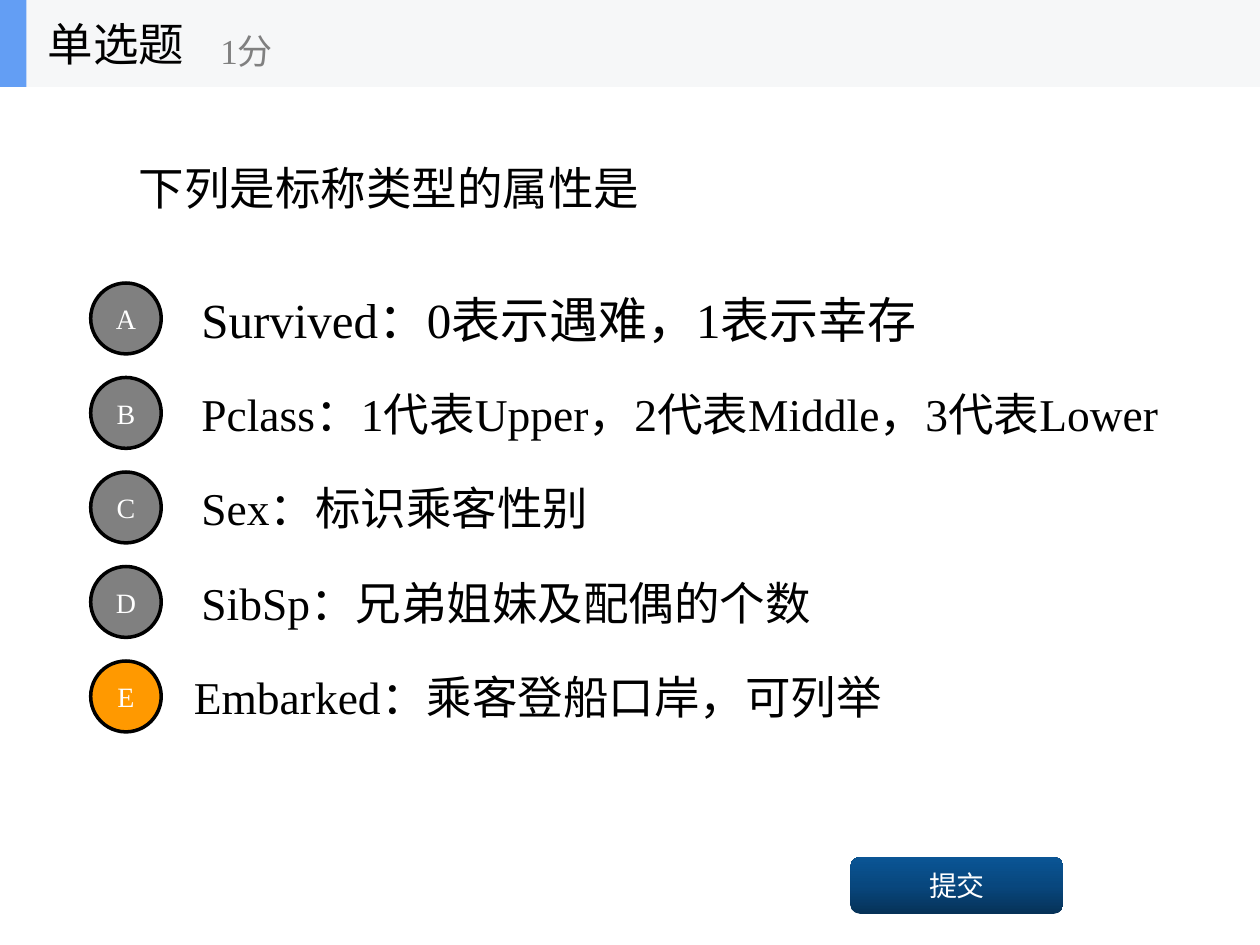
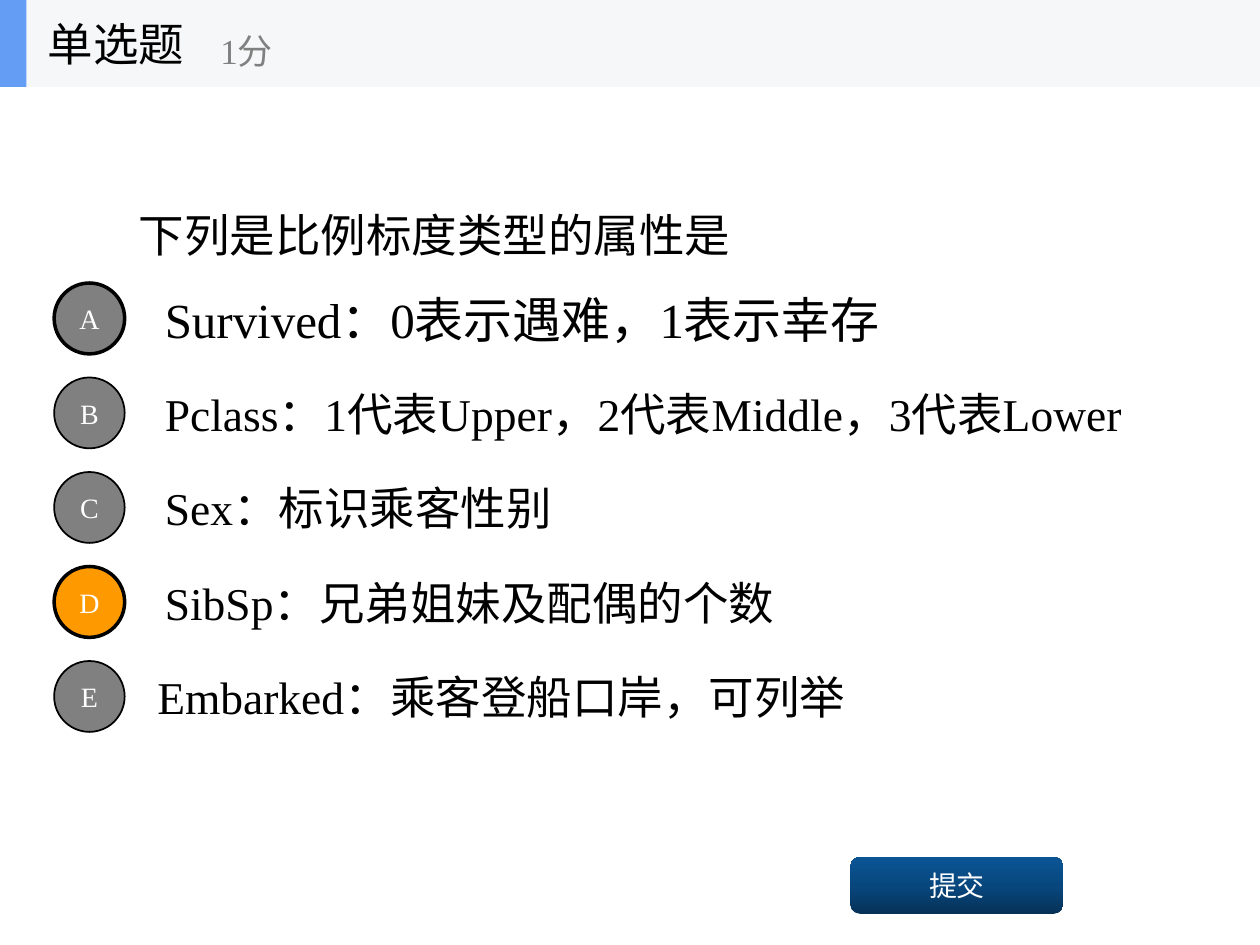
import copy

import pptx
import pptx.dml.color
import pptx.enum.shapes
import pptx.enum.text
import pptx.oxml.ns
import pptx.util

SHAPE = pptx.enum.shapes.MSO_SHAPE
ALIGN = pptx.enum.text.PP_ALIGN
TITLE_ONLY = 5

OPTIONS = {
    "A": "Survived：0表示遇难，1表示幸存",
    "B": "Pclass：1代表Upper，2代表Middle，3代表Lower",
    "C": "Sex：标识乘客性别",
    "D": "SibSp：兄弟姐妹及配偶的个数",
    "E": "Embarked：乘客登船口岸，可列举",
}
QUESTIONS = [
    dict(question="下列是标称类型的属性是", question_rows=2.13,
         bullet_center=1, answer="E", heavy="ABCDE"),
    dict(question="下列是比例标度类型的属性是", question_rows=3.12,
         bullet_center=0.71, answer="D", heavy="AD"),
]


def color(hex_string):
    return pptx.dml.color.RGBColor.from_string(hex_string)


class Quiz:
    FONT = "Times New Roman"
    BLACK, WHITE, GRAY = "000000", "FFFFFF", "808080"
    BAND, ACCENT, ANSWER = "F6F7F8", "639EF4", "FF9900"
    BUTTON = [(0, "063258"), (0.5, "08477E"), (1, "0A5595")]
    GRID = 10
    HEADER_ROWS = 0.92
    BULLET_COLS, BULLET_ROWS = 0.56, 0.75
    OPTION_ROWS = 0.93
    FIRST_OPTION = 3.37

    def __init__(self):
        self.deck = pptx.Presentation()
        self.deck.slide_width = pptx.util.Inches(10)
        self.deck.slide_height = pptx.util.Inches(7.5)

    def new_slide(self):
        layout = self.deck.slide_layouts[TITLE_ONLY]
        self.slide = self.deck.slides.add_slide(layout)
        self.shapes = self.slide.shapes

    def cells(self, left, top, width, height):
        column = self.deck.slide_width / self.GRID
        row = self.deck.slide_height / self.GRID
        return (round(left * column), round(top * row),
                round(width * column), round(height * row))

    def add_text(self, shape, text, size, ink, align=ALIGN.LEFT):
        frame = shape.text_frame
        frame.word_wrap = True
        frame.auto_size = pptx.enum.text.MSO_AUTO_SIZE.NONE
        frame.vertical_anchor = pptx.enum.text.MSO_ANCHOR.MIDDLE
        paragraph = frame.paragraphs[0]
        paragraph.alignment = align
        run = paragraph.add_run()
        run.text = text
        run.font.name = self.FONT
        run.font.size = pptx.util.Pt(size)
        run.font.color.rgb = color(ink)

    def title(self, text, *place):
        question = self.slide.shapes.title
        question.left, question.top, question.width, question.height = self.cells(*place)
        self.add_text(question, text, 26, self.BLACK)

    def label(self, text, size, ink, *place):
        self.add_text(self.shapes.add_textbox(*self.cells(*place)), text, size, ink)

    def block(self, preset, fill, *place):
        shape = self.shapes.add_shape(preset, *self.cells(*place))
        shape.shadow.inherit = False
        shape.line.fill.background()
        if fill:
            shape.fill.solid()
            shape.fill.fore_color.rgb = color(fill)
        return shape

    def bullet(self, letter, center, middle, fill, weight):
        circle = self.block(SHAPE.OVAL, fill,
                            center - self.BULLET_COLS / 2, middle - self.BULLET_ROWS / 2,
                            self.BULLET_COLS, self.BULLET_ROWS)
        circle.line.color.rgb = color(self.BLACK)
        circle.line.width = pptx.util.Pt(weight)
        frame = circle.text_frame
        frame.margin_left = frame.margin_right = 0
        frame.margin_top = frame.margin_bottom = 0
        self.add_text(circle, letter, 16, self.WHITE, ALIGN.CENTER)

    def options(self, center, answer, heavy):
        for index, (letter, text) in enumerate(OPTIONS.items()):
            middle = self.FIRST_OPTION + index
            left = center + (0.44 if letter == "E" else 0.5)
            width = 8.43 if letter == "B" else 7
            size = 28 if letter == "A" else 26
            self.label(text, size, self.BLACK,
                       left, middle - self.OPTION_ROWS / 2, width, self.OPTION_ROWS)
            self.bullet(letter, center, middle,
                        self.ANSWER if letter == answer else self.GRAY,
                        2 if letter in heavy else 1)

    def button(self, text, *place):
        submit = self.block(SHAPE.ROUNDED_RECTANGLE, None, *place)
        submit.fill.gradient()
        submit.fill.gradient_angle = 90
        first_stop = submit._element.spPr.find(".//" + pptx.oxml.ns.qn("a:gs"))
        first_stop.addnext(copy.deepcopy(first_stop))
        for stop, (position, shade) in zip(submit.fill.gradient_stops, self.BUTTON):
            stop.position = position
            stop.color.rgb = color(shade)
        self.add_text(submit, text, 16, self.WHITE, ALIGN.CENTER)

    def header(self, kind, score):
        self.shapes = self.slide.shapes.add_group_shape().shapes
        self.block(SHAPE.RECTANGLE, self.BAND, 0, 0, self.GRID, self.HEADER_ROWS)
        self.block(SHAPE.RECTANGLE, self.ACCENT, 0, 0, 0.21, self.HEADER_ROWS)
        self.label(kind, 26, self.BLACK, 0.28, 0, 2.08, self.HEADER_ROWS)
        self.label(score, 20, self.GRAY, 1.65, 0.16, 2.5, 0.75)
        self.shapes = self.slide.shapes

    def question_slide(self, question, question_rows, bullet_center, answer, heavy):
        self.new_slide()
        self.title(question, 1, self.HEADER_ROWS, 8, question_rows)
        self.options(bullet_center, answer, heavy)
        self.button("提交", 6.75, 9.07, 1.69, 0.6)
        self.header("单选题", "1分")


def main():
    quiz = Quiz()
    for content in QUESTIONS:
        quiz.question_slide(**content)
    quiz.deck.save("out.pptx")


if __name__ == "__main__":
    main()
